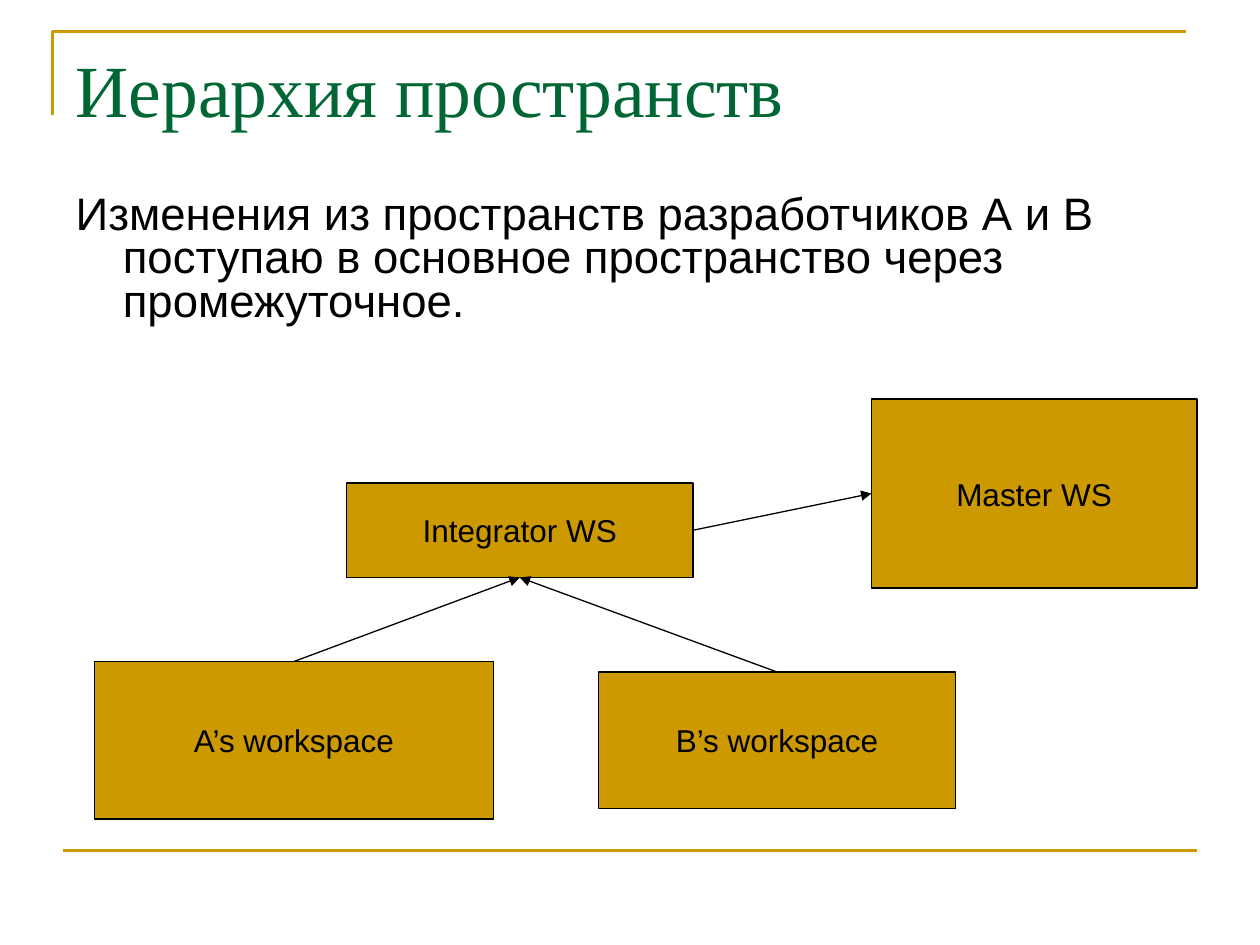
from dataclasses import dataclass

from lxml.etree import SubElement
from pptx import Presentation
from pptx.dml.color import RGBColor
from pptx.enum.shapes import MSO_CONNECTOR, MSO_SHAPE
from pptx.enum.text import MSO_ANCHOR as ANCHOR, MSO_AUTO_SIZE as AUTO, PP_ALIGN as ALIGN
from pptx.oxml.ns import qn
from pptx.util import Pt

PX = 9525
GOLD, BLACK, GREEN = "CC9900", "000000", "006633"
TOP, LEFT, BOTTOM, RIGHT = range(4)


@dataclass
class Workspace:
    name: str
    x: int
    y: int
    w: int
    h: int
    kind: MSO_SHAPE = MSO_SHAPE.RECTANGLE


@dataclass
class Flow:
    source: str
    source_side: int
    target: str
    target_side: int


INTEGRATOR, MASTER = "Integrator WS", "Master WS"
WORK_A, WORK_B = "A’s workspace", "B’s workspace"

WORKSPACES = [
    Workspace(INTEGRATOR, 264, 368, 264, 72),
    Workspace(WORK_B, 456, 512, 272, 104, MSO_SHAPE.FLOWCHART_PROCESS),
    Workspace(WORK_A, 72, 504, 304, 120),
    Workspace(MASTER, 664, 304, 248, 144),
]
FLOWS = [
    Flow(WORK_A, TOP, INTEGRATOR, BOTTOM),
    Flow(WORK_B, TOP, INTEGRATOR, BOTTOM),
    Flow(INTEGRATOR, RIGHT, MASTER, LEFT),
]


def rgb(color: str) -> RGBColor:
    """Turn a hex string into a colour."""
    return RGBColor.from_string(color)


def set_line(s, color: str, width: float) -> None:
    """Give a shape or connector its line."""
    s.line.color.rgb = rgb(color)
    s.line.width = Pt(width)


def style_text(p, size: int, font: str, color: str, align: ALIGN) -> None:
    """Format a paragraph and its runs."""
    p.alignment = align
    for r in p.runs:
        r.font.size = Pt(size)
        r.font.name = font
        r.font.color.rgb = rgb(color)


def fill_placeholder(sp, text: str, box: tuple, size: int, font: str, color: str):
    """Place a placeholder, write its text and return the paragraph."""
    sp.left, sp.top, sp.width, sp.height = (v * PX for v in box)
    tf = sp.text_frame
    tf.text = text
    tf.auto_size = AUTO.NONE
    tf.vertical_anchor = ANCHOR.TOP
    p = tf.paragraphs[0]
    style_text(p, size, font, color, ALIGN.LEFT)
    return p


def draw_connector(slide, x1: int, y1: int, x2: int, y2: int, color: str, width: float):
    """Draw a straight line without a shadow."""
    s = slide.shapes.add_connector(MSO_CONNECTOR.STRAIGHT, x1 * PX, y1 * PX, x2 * PX, y2 * PX)
    set_line(s, color, width)
    SubElement(s._element.spPr, qn("a:effectLst"))
    return s


def draw_frame(slide) -> None:
    """Draw the corner rule and the bottom rule."""
    builder = slide.shapes.build_freeform(40, 88, scale=PX)
    builder.add_line_segments([(40, 24), (904, 24)], close=False)
    s = builder.convert_to_shape()
    s.shadow.inherit = False
    s.fill.background()
    set_line(s, GOLD, 1.5)
    draw_connector(slide, 48, 648, 912, 648, GOLD, 1.5)


def draw_workspace(slide, ws: Workspace):
    """Draw one labelled workspace box."""
    s = slide.shapes.add_shape(ws.kind, ws.x * PX, ws.y * PX, ws.w * PX, ws.h * PX)
    s.shadow.inherit = False
    s.fill.solid()
    s.fill.fore_color.rgb = rgb(GOLD)
    set_line(s, BLACK, 0.75)
    tf = s.text_frame
    tf.text = ws.name
    tf.word_wrap = False
    tf.vertical_anchor = ANCHOR.MIDDLE
    style_text(tf.paragraphs[0], 18, "Arial", BLACK, ALIGN.CENTER)
    return s


def draw_flow(slide, flow: Flow, boxes: dict) -> None:
    """Join two workspaces with an arrow."""
    s = draw_connector(slide, 0, 0, 0, 0, BLACK, 0.75)
    s.begin_connect(boxes[flow.source], flow.source_side)
    s.end_connect(boxes[flow.target], flow.target_side)
    SubElement(s.line._get_or_add_ln(), qn("a:tailEnd"), type="triangle")


def main() -> None:
    """Build and save the slide."""
    prs = Presentation()
    prs.slide_width, prs.slide_height = 960 * PX, 720 * PX
    slide = prs.slides.add_slide(prs.slide_layouts[1])

    draw_frame(slide)
    title, body = slide.placeholders
    fill_placeholder(title, "Иерархия пространств", (48, 29, 864, 77),
                     42, "Times New Roman", GREEN)
    p = fill_placeholder(
        body,
        "Изменения из пространств разработчиков А и В поступаю "
        "в основное пространство через промежуточное.",
        (48, 144, 864, 122), 26, "Arial", BLACK)
    p.line_spacing = 0.8
    p.space_before = Pt(6.5)
    pPr = p._p.get_or_add_pPr()
    pPr.set("marL", str(36 * PX))
    pPr.set("indent", str(-36 * PX))
    SubElement(pPr, qn("a:buNone"))

    boxes = {ws.name: draw_workspace(slide, ws) for ws in WORKSPACES}
    for flow in FLOWS:
        draw_flow(slide, flow, boxes)
    prs.save("out.pptx")


if __name__ == "__main__":
    main()
